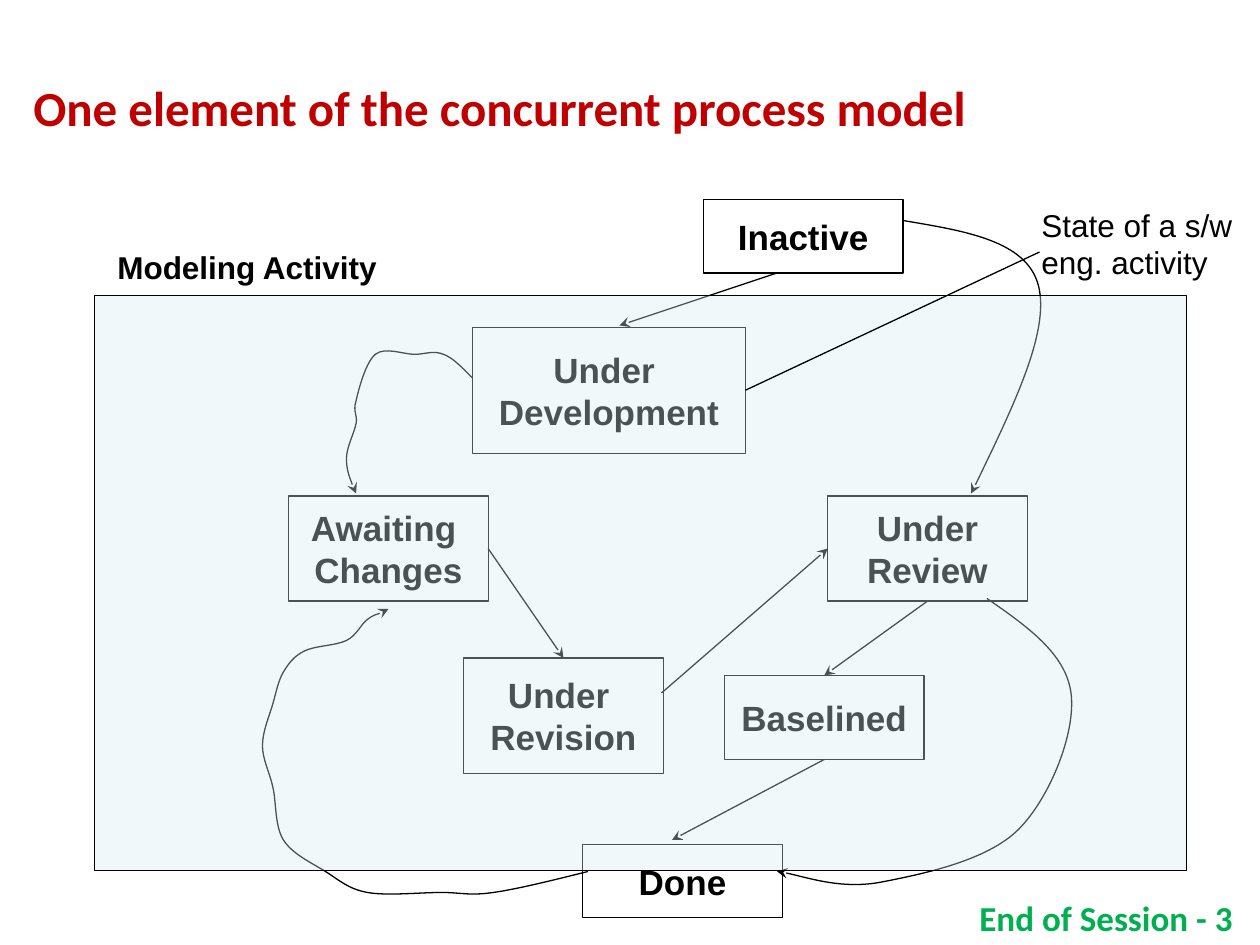
from dataclasses import dataclass

from lxml.etree import SubElement
from pptx import Presentation
from pptx.dml.color import RGBColor
from pptx.enum.shapes import MSO_CONNECTOR, MSO_SHAPE
from pptx.enum.text import MSO_ANCHOR, PP_ALIGN
from pptx.oxml.ns import qn
from pptx.util import Pt

BLACK = "000000"
TOP, LEFT, BOTTOM, RIGHT = range(4)

Point = tuple[float, float]


@dataclass
class Box:
    left: float
    top: float
    width: float
    height: float

    def lengths(self) -> list[int]:
        return [Pt(self.left), Pt(self.top), Pt(self.width), Pt(self.height)]


@dataclass
class State:
    name: str
    lines: list[str]
    box: Box


@dataclass
class Joint:
    state: str
    side: int


@dataclass
class Transition:
    begin: Point | Joint
    end: Point | Joint
    arrow: bool = True


@dataclass
class Label:
    text: str
    box: Box
    size: float
    font: str = "Arial"
    color: str = BLACK
    bold: bool = True
    alignment: PP_ALIGN = PP_ALIGN.LEFT
    anchor: MSO_ANCHOR = MSO_ANCHOR.TOP
    line_spacing: float = 1.0
    margin_right: float = 7.2


STATES = [
    State("inactive", ["Inactive"], Box(402, 114, 114, 42)),
    State("development", ["Under ", "Development"], Box(270, 187, 156, 72)),
    State("awaiting", ["Awaiting ", "Changes"], Box(165, 283.5, 114, 60)),
    State("revision", ["Under ", "Revision"], Box(265, 376, 114, 66)),
    State("review", ["Under", "Review"], Box(473, 283.5, 114, 60)),
    State("baselined", ["Baselined"], Box(414, 386, 114, 48)),
    State("done", ["Done"], Box(333, 482.5, 114, 42)),
]

TRANSITIONS = [
    Transition((444, 156), (354, 186)),
    Transition(Joint("review", BOTTOM), Joint("baselined", TOP)),
    Transition(Joint("baselined", BOTTOM), (384, 480)),
    Transition((378, 396), Joint("review", LEFT)),
    Transition(Joint("awaiting", RIGHT), Joint("revision", TOP)),
]
STATE_POINTER = Transition(Joint("development", RIGHT), (594, 144), arrow=False)

INACTIVE_TO_REVIEW = [
    (516, 126),
    (551.5, 132), (587, 137.5), (593.5, 163.5),
    (600, 189.5), (577.5, 235.5), (555, 282),
]
REVIEW_TO_DONE = [
    (564, 342),
    (587, 358), (609, 373.5), (612, 396),
    (615, 418.5), (600, 456), (582, 474),
    (564, 492), (527, 499.5), (504, 504),
    (481, 508.5), (454, 499), (444, 498),
]
DONE_TO_AWAITING = [
    (336, 498),
    (316, 503), (296, 508), (282, 510),
    (268, 512), (264, 510), (252, 510),
    (240, 510), (221, 512), (210, 510),
    (199, 508), (194, 503), (186, 498),
    (178, 493), (167, 488), (162, 480),
    (157, 472), (158, 459), (156, 450),
    (154, 441), (150, 434), (150, 426),
    (150, 418), (154, 409), (156, 402),
    (158, 395), (159, 389), (162, 384),
    (165, 379), (168, 375), (174, 372),
    (180, 369), (192, 369), (198, 366),
    (204, 363), (206, 357), (210, 354),
    (214, 351), (220, 350), (222, 348),
]
DEVELOPMENT_TO_AWAITING = [
    (270, 216),
    (264, 210), (259, 204.5), (253.5, 202.5),
    (247.5, 200), (243, 202.5), (237, 202.5),
    (230.5, 202.5), (220, 198), (214.5, 202.5),
    (209, 207), (205, 222.5), (203.5, 229),
    (201.5, 235.5), (204.5, 237), (203.5, 242),
    (202.5, 247.5), (198, 255.5), (198, 262),
    (198, 268.5), (201.5, 278), (203.5, 282),
]
CURVES = [INACTIVE_TO_REVIEW, REVIEW_TO_DONE, DONE_TO_AWAITING, DEVELOPMENT_TO_AWAITING]

ACTIVITY_AREA = Box(54, 169, 624, 328.5)
TITLE = Label("One element of the concurrent process model", Box(12, 18, 678, 90), 28,
              "Calibri", "C00000", anchor=MSO_ANCHOR.MIDDLE, line_spacing=0.9)
ACTIVITY_NAME = Label("Modeling Activity", Box(60, 138, 222, 29), 18)
STATE_NOTE = Label("State of a s/w eng. activity", Box(588, 114, 132, 50), 18, bold=False)
SESSION_END = Label("End of Session - 3", Box(498, 508.5, 222, 31.5), 20, "Calibri", "00B050",
                    alignment=PP_ALIGN.RIGHT, margin_right=15.5)


def color_of(value: str) -> RGBColor:
    return RGBColor.from_string(value)


def add_text(paragraph, text: str, size: float, font: str, color: str, bold: bool) -> None:
    run = paragraph.add_run()
    run.text = text
    run.font.size = Pt(size)
    run.font.name = font
    run.font.bold = bold
    run.font.color.rgb = color_of(color)


def style_line(shape, arrow: bool = False) -> None:
    shape.line.color.rgb = color_of(BLACK)
    shape.line.width = Pt(0.75)
    if arrow:
        outline = shape._element.spPr.find(qn("a:ln"))
        SubElement(outline, qn("a:tailEnd"), type="stealth")


def add_label(slide, label: Label) -> None:
    frame = slide.shapes.add_textbox(*label.box.lengths()).text_frame
    frame.word_wrap = True
    frame.vertical_anchor = label.anchor
    frame.margin_right = Pt(label.margin_right)
    paragraph = frame.paragraphs[0]
    paragraph.alignment = label.alignment
    paragraph.line_spacing = label.line_spacing
    add_text(paragraph, label.text, label.size, label.font, label.color, label.bold)


def add_rectangle(slide, box: Box):
    shape = slide.shapes.add_shape(MSO_SHAPE.RECTANGLE, *box.lengths())
    shape.shadow.inherit = False
    shape.fill.background()
    style_line(shape)
    return shape


def add_state(slide, state: State):
    shape = add_rectangle(slide, state.box)
    frame = shape.text_frame
    frame.word_wrap = False
    frame.vertical_anchor = MSO_ANCHOR.MIDDLE
    for index, line in enumerate(state.lines):
        paragraph = frame.add_paragraph() if index else frame.paragraphs[0]
        paragraph.alignment = PP_ALIGN.CENTER
        add_text(paragraph, line, 20, "Arial", BLACK, True)
    return shape


def add_transition(slide, transition: Transition, shapes: dict) -> None:
    begin, end = transition.begin, transition.end
    start = (0, 0) if isinstance(begin, Joint) else begin
    finish = (0, 0) if isinstance(end, Joint) else end
    connector = slide.shapes.add_connector(
        MSO_CONNECTOR.STRAIGHT, *(Pt(value) for value in (*start, *finish)))
    if isinstance(begin, Joint):
        connector.begin_connect(shapes[begin.state], begin.side)
    if isinstance(end, Joint):
        connector.end_connect(shapes[end.state], end.side)
    style_line(connector, transition.arrow)
    SubElement(connector._element.spPr, qn("a:effectLst"))


def add_curve(slide, points: list[Point]) -> None:
    start, *controls = [(Pt(x), Pt(y)) for x, y in points]
    builder = slide.shapes.build_freeform(*start)
    builder.add_line_segments(controls, close=False)
    shape = builder.convert_to_shape()
    outline = next(shape._element.iter(qn("a:path")))
    segments = outline.findall(qn("a:lnTo"))
    for index in range(0, len(segments), 3):
        curve = SubElement(outline, qn("a:cubicBezTo"))
        for segment in segments[index:index + 3]:
            curve.append(segment[0])
            outline.remove(segment)
    shape.shadow.inherit = False
    shape.fill.background()
    style_line(shape, arrow=True)


def add_activity_area(slide) -> None:
    area = add_rectangle(slide, ACTIVITY_AREA)
    area.fill.solid()
    area.fill.fore_color.rgb = color_of("D9EDEF")
    fill_color = area._element.spPr.find(qn("a:solidFill"))[0]
    SubElement(fill_color, qn("a:alpha"), val="35000")


def main() -> None:
    presentation = Presentation()
    presentation.slide_width, presentation.slide_height = Pt(720), Pt(540)
    slide = presentation.slides.add_slide(presentation.slide_layouts[6])
    add_label(slide, TITLE)
    shapes = {state.name: add_state(slide, state) for state in STATES}
    for transition in TRANSITIONS:
        add_transition(slide, transition, shapes)
    for points in CURVES:
        add_curve(slide, points)
    add_activity_area(slide)
    add_label(slide, ACTIVITY_NAME)
    add_transition(slide, STATE_POINTER, shapes)
    add_label(slide, STATE_NOTE)
    add_label(slide, SESSION_END)
    presentation.save("out.pptx")


if __name__ == "__main__":
    main()
